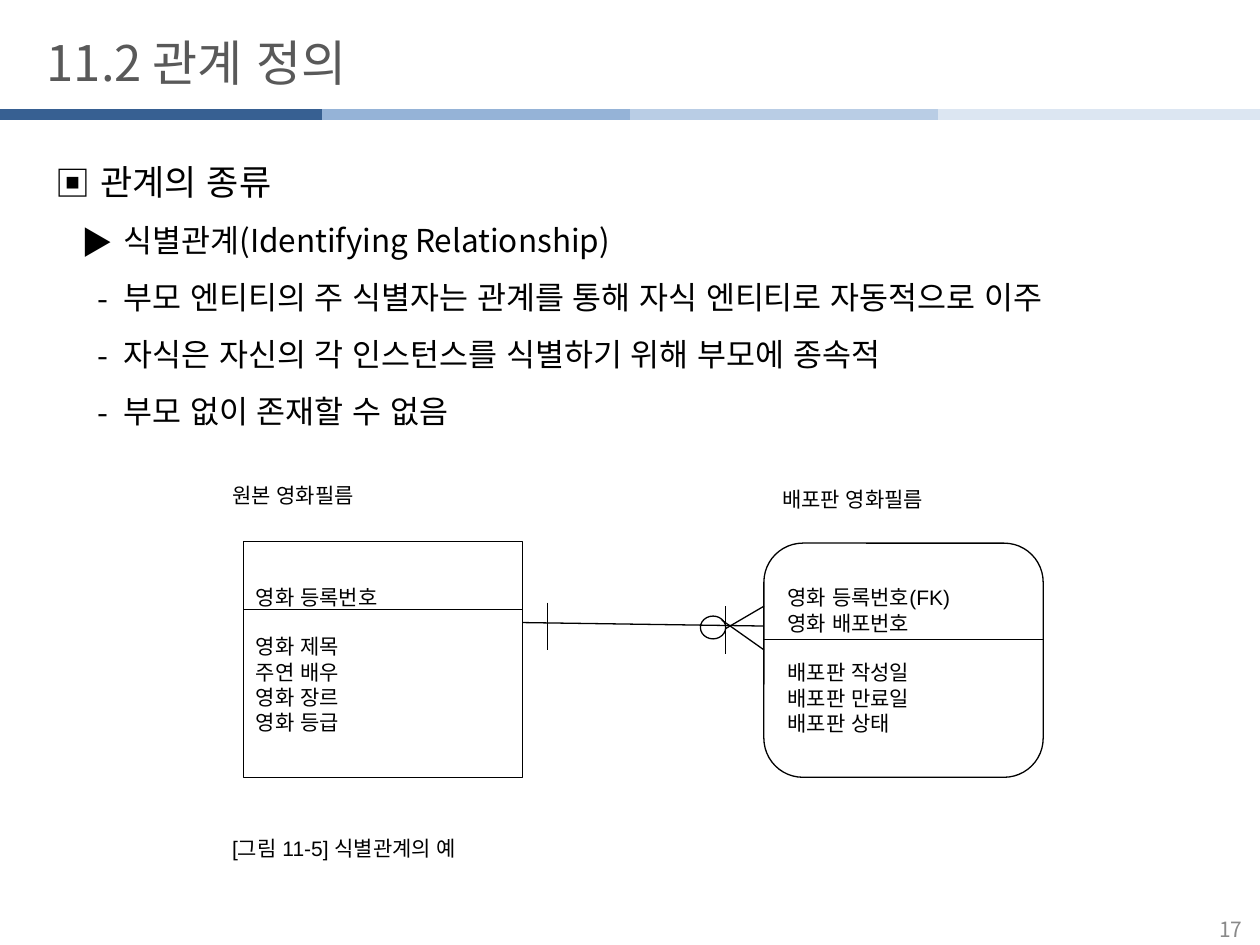
from pptx import Presentation
from pptx.dml.color import RGBColor
from pptx.enum.shapes import MSO_CONNECTOR, MSO_SHAPE
from pptx.enum.text import MSO_ANCHOR, PP_ALIGN
from pptx.oxml.ns import qn
from pptx.util import Cm, Pt
from lxml import etree

LINE = MSO_CONNECTOR.STRAIGHT
RECT, ROUND, OVAL = MSO_SHAPE.RECTANGLE, MSO_SHAPE.ROUNDED_RECTANGLE, MSO_SHAPE.OVAL
TOP, MIDDLE = MSO_ANCHOR.TOP, MSO_ANCHOR.MIDDLE
LEFT, RIGHT = PP_ALIGN.LEFT, PP_ALIGN.RIGHT
SANS, ARIAL = "Noto Sans CJK KR", "Arial"
BLACK = "000000"


def color(code):
    return RGBColor.from_string(code)


class Deck:
    """Draws styled elements on the current slide."""

    def __init__(self):
        self.prs = Presentation()
        self.prs.slide_width, self.prs.slide_height = Cm(25.4), Cm(19.05)
        self.slide = self.prs.slides.add_slide(self.prs.slide_layouts[5])
        self.shapes = self.slide.shapes

    def style(self, para, size, font=ARIAL, code=BLACK, align=LEFT):
        para.alignment = align
        for run in para.runs:
            run.font.size, run.font.name = Pt(size), font
            run.font.color.rgb = color(code)
            east = etree.SubElement(run.font._element, qn("a:ea"))
            east.set("typeface", ARIAL)

    def title(self, text, x, y, w, h):
        shape = self.shapes.title
        shape.left, shape.top, shape.width, shape.height = Cm(x), Cm(y), Cm(w), Cm(h)
        frame = shape.text_frame
        frame.text = text
        frame.vertical_anchor = MIDDLE
        self.style(frame.paragraphs[0], 28, SANS, "595959")

    def text(self, text, x, y, w, h, anchor=TOP, **look):
        frame = self.shapes.add_textbox(Cm(x), Cm(y), Cm(w), Cm(h)).text_frame
        frame.word_wrap = True
        frame.vertical_anchor = anchor
        frame.text = text
        self.style(frame.paragraphs[0], 12, **look)

    def bullets(self, items, x, y, w, h):
        frame = self.shapes.add_textbox(Cm(x), Cm(y), Cm(w), Cm(h)).text_frame
        frame.word_wrap = True
        for i, (mark, text, size, margin, hang) in enumerate(items):
            para = frame.add_paragraph() if i else frame.paragraphs[0]
            para.text = text
            para.line_spacing = 1.5
            props = para._p.get_or_add_pPr()
            props.set("marL", str(Cm(margin)))
            props.set("indent", str(-Cm(hang)))
            etree.SubElement(props, qn("a:buFont")).set("typeface", SANS)
            etree.SubElement(props, qn("a:buChar")).set("char", mark)
            self.style(para, size, SANS)

    def line(self, x1, y1, x2, y2, code=BLACK, width=0.75):
        line = self.shapes.add_connector(LINE, Cm(x1), Cm(y1), Cm(x2), Cm(y2))
        line.line.color.rgb, line.line.width = color(code), Pt(width)
        etree.SubElement(line._element.spPr, qn("a:effectLst"))

    def shape(self, kind, x, y, w, h):
        shape = self.shapes.add_shape(kind, Cm(x), Cm(y), Cm(w), Cm(h))
        shape.shadow.inherit = False
        shape.fill.background()
        shape.line.color.rgb, shape.line.width = color(BLACK), Pt(0.75)
        return shape

    def entity(self, kind, x, y, w, h, split, keys, fields):
        frame = self.shape(kind, x, y, w, h).text_frame
        frame.word_wrap = True
        frame.vertical_anchor = MIDDLE
        frame.text = "\n".join(keys + fields)
        for para in frame.paragraphs:
            self.style(para, 12)
        frame.paragraphs[len(keys)].space_before = Pt(14)
        self.line(x, split, x + w, split)


def main():
    deck = Deck()
    tones = ("376092", "95B3D7", "B9CDE5", "DCE6F2")
    for x, tone in zip((0, 6.5, 12.7, 18.9), tones):
        deck.line(x, 2.31, x + 6.5, 2.31, tone, 6)
    deck.title("11.2 관계 정의", 0.69, 0.48, 21, 1.52)

    points = (
        "부모 엔티티의 주 식별자는 관계를 통해 자식 엔티티로 자동적으로 이주",
        "자식은 자신의 각 인스턴스를 식별하기 위해 부모에 종속적",
        "부모 없이 존재할 수 없음",
    )
    items = [
        ("▣", "관계의 종류", 20, 0.91, 0.91),
        ("▶", "식별관계(Identifying Relationship)", 18, 1.38, 0.84),
    ]
    items += [("-", point, 18, 1.38, 0.52) for point in points]
    deck.bullets(items, 0.86, 2.69, 23.42, 6.81)
    deck.text("17", 23.57, 18.4, 1.73, 0.66, MIDDLE,
              font=SANS, code="898989", align=RIGHT)

    deck.entity(RECT, 4.91, 10.92, 5.63, 4.75, 12.28,
                ["영화 등록번호"],
                ["영화 제목", "주연 배우", "영화 장르", "영화 등급"])
    deck.entity(ROUND, 15.4, 10.95, 5.63, 4.72, 12.89,
                ["영화 등록번호(FK)", "영화 배포번호"],
                ["배포판 작성일", "배포판 만료일", "배포판 상태"])
    deck.text("원본 영화필름", 4.43, 9.6, 4.14, 1.04)
    deck.text("배포판 영화필름", 15.52, 9.69, 4.67, 1.04)
    deck.text("[그림 11-5] 식별관계의 예", 4.43, 16.71, 7.06, 1.04)

    links = (
        (10.54, 12.55, 15.4, 12.62),
        (11.04, 12.15, 11.04, 13.11),
        (14.63, 12.22, 14.63, 13.18),
        (14.63, 12.67, 15.4, 12.22),
        (14.55, 12.5, 15.4, 13.1),
    )
    for link in links:
        deck.line(*link)
    deck.shape(OVAL, 14.12, 12.42, 0.51, 0.46)
    deck.prs.save("out.pptx")


if __name__ == "__main__":
    main()
